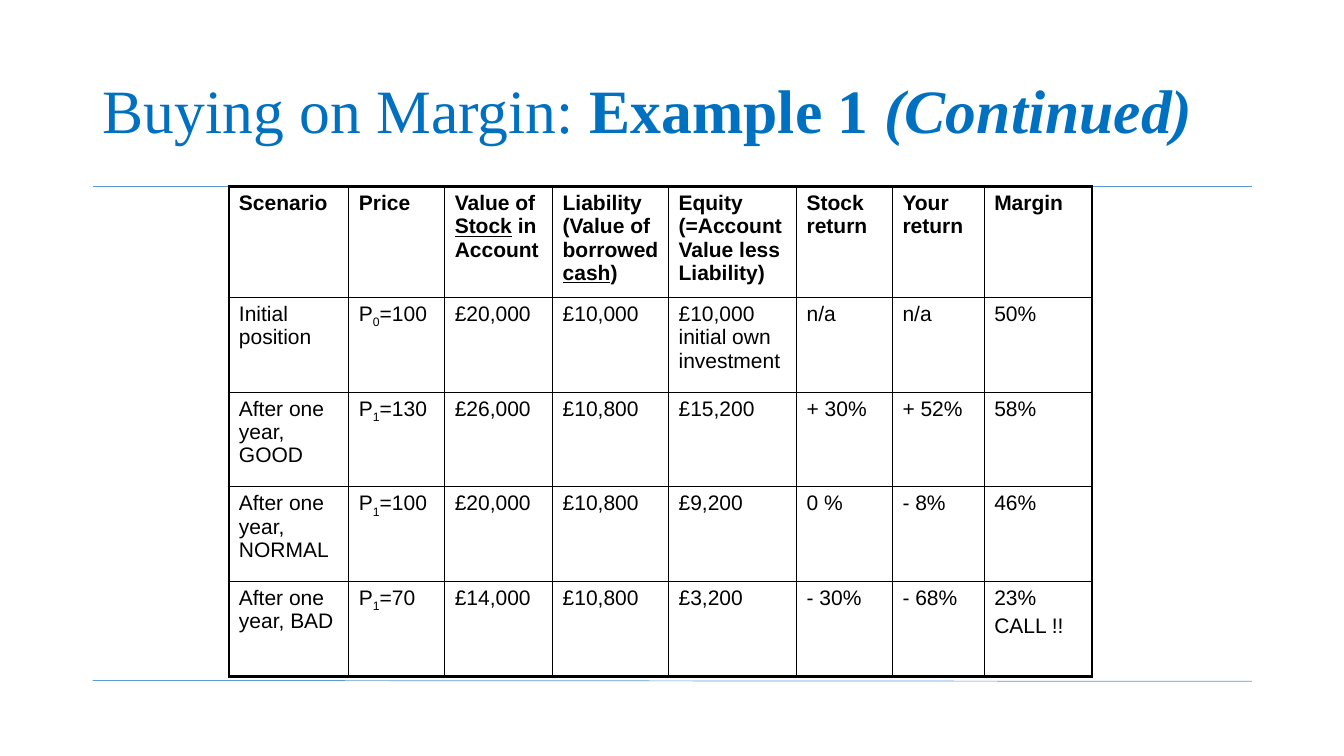
from dataclasses import dataclass

from lxml import etree
from pptx import Presentation
from pptx import util as u
from pptx.dml.color import RGBColor
from pptx.enum import shapes, text
from pptx.oxml import ns


@dataclass(frozen=True)
class Theme:
    title_color: RGBColor = RGBColor(0x00, 0x70, 0xC0)
    rule_color: RGBColor = RGBColor(0x5B, 0x9B, 0xD5)
    ink: RGBColor = RGBColor(0, 0, 0)
    title_font: str = "Times New Roman"
    table_font: str = "Arial"
    title_size: float = 44
    table_size: float = 15
    rule_weight: float = 0.5
    inner_border: float = 1
    outer_border: float = 2.25


@dataclass(frozen=True)
class Run:
    words: str
    bold: bool | None = None
    italic: bool | None = None
    underline: bool | None = None
    subscript: bool = False


@dataclass(frozen=True)
class Rule:
    start_y: float
    end_y: float


@dataclass(frozen=True)
class Scenario:
    name: str
    period: str
    price: str
    stock: str
    liability: str
    equity: str
    stock_return: str
    your_return: str
    margin: str


Paragraphs = list[list[Run]]
THEME = Theme()
WIDTH, HEIGHT = u.Inches(13.33), u.Inches(7.5)

# Positions and sizes are percentages of the slide's width and height
LEFT, RIGHT = 6.9, 93.15
TITLE_TOP, TITLE_HEIGHT = 5.33, 19.33
TABLE_LEFT, TABLE_TOP = 17.03, 24.67
COLUMNS = [8.93, 7.13, 8.03, 8.63, 9.53, 7.13, 6.83, 8.03]
HEADER_ROW, SCENARIO_ROW = 14.16, 12.53
RULES = [Rule(TABLE_TOP, TABLE_TOP), Rule(90, 90.13)]

TITLE = [Run("Buying on Margin: "), Run("Example 1 ", bold=True),
         Run("(Continued)", bold=True, italic=True)]
HEADINGS = [
    [Run("Scenario")],
    [Run("Price")],
    [Run("Value of "), Run("Stock", underline=True), Run(" in Account")],
    [Run("Liability (Value of borrowed "), Run("cash", underline=True), Run(")")],
    [Run("Equity (=Account Value less Liability)")],
    [Run("Stock return")],
    [Run("Your return")],
    [Run("Margin")],
]
SCENARIOS = [
    Scenario("Initial position", "0", "100", "£20,000", "£10,000",
             "£10,000 initial own investment", "n/a", "n/a", "50%"),
    Scenario("After one year, GOOD", "1", "130", "£26,000", "£10,800",
             "£15,200", "+ 30%", "+ 52%", "58%"),
    Scenario("After one year, NORMAL", "1", "100", "£20,000", "£10,800",
             "£9,200", "0 %", "- 8%", "46%"),
    Scenario("After one year, BAD", "1", "70", "£14,000", "£10,800",
             "£3,200", "- 30%", "- 68%", "23%\nCALL !!"),
]


def across(percent: float) -> int:
    return round(WIDTH * percent / 100)


def down(percent: float) -> int:
    return round(HEIGHT * percent / 100)


def style_font(font, name: str, size: float, color: RGBColor) -> None:
    font.name, font.size = name, u.Pt(size)
    font.color.rgb = color


def add_runs(paragraph, runs: list[Run]) -> None:
    for part in runs:
        run = paragraph.add_run()
        run.text = part.words
        run.font.bold, run.font.italic = part.bold, part.italic
        run.font.underline = part.underline
        if part.subscript:
            run.font._element.set("baseline", "-25000")


def draw_rule(slide, rule: Rule) -> None:
    line = slide.shapes.add_connector(
        shapes.MSO_CONNECTOR.STRAIGHT, across(LEFT), down(rule.start_y),
        across(RIGHT), down(rule.end_y))
    line.line.color.rgb = THEME.rule_color
    line.line.width = u.Pt(THEME.rule_weight)
    etree.SubElement(line._element.spPr, ns.qn("a:effectLst"))


def draw_title(slide) -> None:
    title = slide.shapes.add_textbox(across(LEFT), down(TITLE_TOP),
                                     across(RIGHT - LEFT), down(TITLE_HEIGHT))
    frame = title.text_frame
    frame.word_wrap = True
    frame.vertical_anchor = text.MSO_ANCHOR.MIDDLE
    heading = frame.paragraphs[0]
    heading.line_spacing = 0.9
    style_font(heading.font, THEME.title_font, THEME.title_size, THEME.title_color)
    add_runs(heading, TITLE)


def set_borders(cell, outer_sides: dict[str, bool]) -> None:
    properties = cell._tc.get_or_add_tcPr()
    for side, is_outer in outer_sides.items():
        weight = THEME.outer_border if is_outer else THEME.inner_border
        border = etree.SubElement(properties, ns.qn(f"a:ln{side}"), w=str(u.Pt(weight)))
        fill = etree.SubElement(border, ns.qn("a:solidFill"))
        etree.SubElement(fill, ns.qn("a:srgbClr"), val=str(THEME.ink))


def fill_cell(cell, paragraphs: Paragraphs, bold: bool) -> None:
    for index, runs in enumerate(paragraphs):
        frame = cell.text_frame
        paragraph = frame.add_paragraph() if index else frame.paragraphs[0]
        if index:
            paragraph.space_before = u.Pt(0.2 * THEME.table_size)
        style_font(paragraph.font, THEME.table_font, THEME.table_size, THEME.ink)
        paragraph.font.bold = bold
        add_runs(paragraph, runs)


def scenario_cells(case: Scenario) -> list[Paragraphs]:
    price = [Run("P"), Run(case.period, subscript=True), Run(f"={case.price}")]
    figures = [case.stock, case.liability, case.equity,
               case.stock_return, case.your_return, case.margin]
    plain = [[[Run(line)] for line in figure.split("\n")] for figure in figures]
    return [[[Run(case.name)]], [price], *plain]


def draw_table(slide) -> None:
    rows = [[[heading] for heading in HEADINGS], *map(scenario_cells, SCENARIOS)]
    heights = [HEADER_ROW] + [SCENARIO_ROW] * len(SCENARIOS)
    table = slide.shapes.add_table(
        len(rows), len(COLUMNS), across(TABLE_LEFT), down(TABLE_TOP),
        across(sum(COLUMNS)), down(sum(heights))).table
    table.first_row = table.horz_banding = False
    for column, share in zip(table.columns, COLUMNS):
        column.width = across(share)
    for r, (cells, share) in enumerate(zip(rows, heights)):
        table.rows[r].height = down(share)
        for c, paragraphs in enumerate(cells):
            cell = table.cell(r, c)
            fill_cell(cell, paragraphs, bold=r == 0)
            set_borders(cell, {"L": c == 0, "R": c == len(COLUMNS) - 1,
                               "T": r == 0, "B": r == len(rows) - 1})
            cell.fill.background()


def main() -> None:
    deck = Presentation()
    deck.slide_width, deck.slide_height = WIDTH, HEIGHT
    slide = deck.slides.add_slide(deck.slide_layouts[6])
    # Rules above and below the content
    for rule in RULES:
        draw_rule(slide, rule)
    # Title and scenario table
    draw_title(slide)
    draw_table(slide)
    deck.save("out.pptx")


if __name__ == "__main__":
    main()
